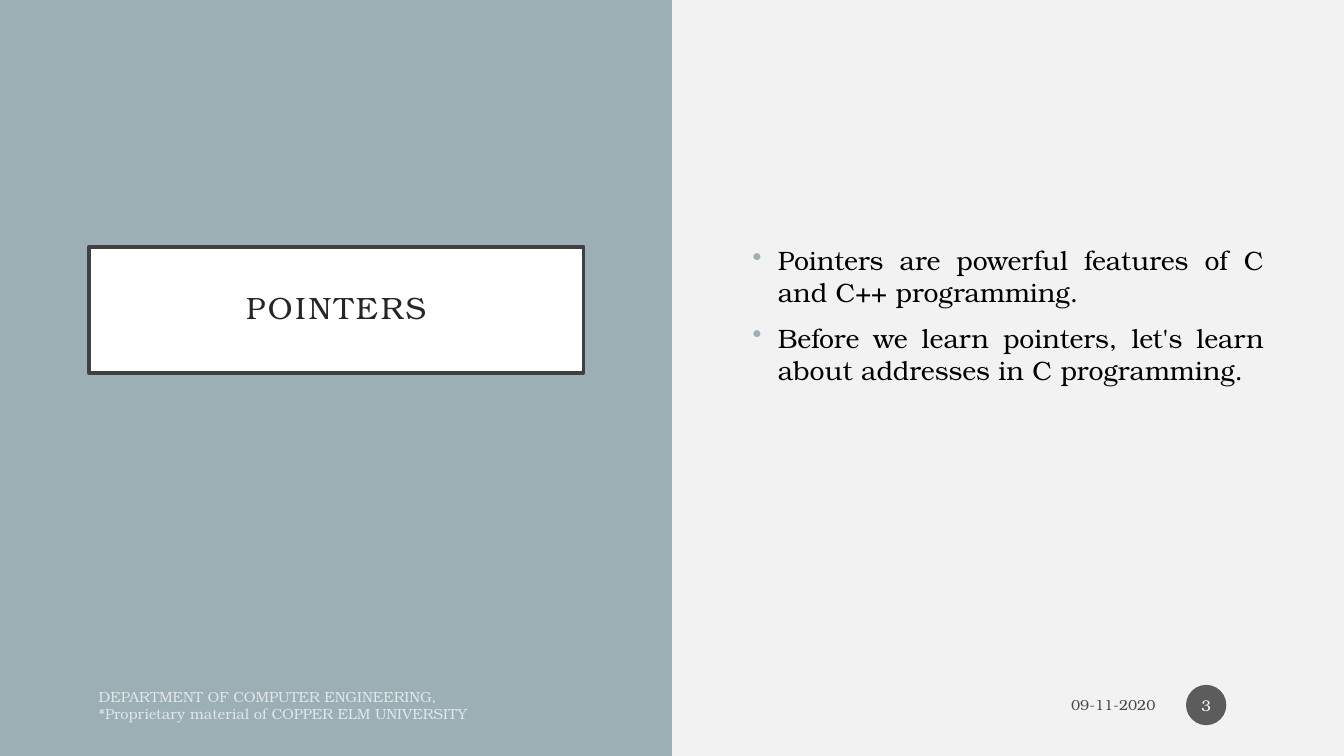
from lxml import etree
from pptx import Presentation
from pptx.dml.color import RGBColor
from pptx.enum import shapes, text
from pptx.oxml import ns
from pptx.util import Pt

FONT = "TeX Gyre Bonum"
SAGE = RGBColor(0x9B, 0xAF, 0xB5)
PALE = RGBColor(0xF2, 0xF2, 0xF2)
WHITE = RGBColor(0xFF, 0xFF, 0xFF)
BLACK = RGBColor(0, 0, 0)
FRAME = RGBColor(0x40, 0x40, 0x40)
INK = RGBColor(0x26, 0x26, 0x26)
BADGE = RGBColor(0x1D, 0x1D, 0x1D)

WIDTH, HEIGHT = 960, 540
LEFT, CENTER = text.PP_ALIGN.LEFT, text.PP_ALIGN.CENTER
RIGHT, JUSTIFY = text.PP_ALIGN.RIGHT, text.PP_ALIGN.JUSTIFY
MIDDLE, TOP = text.MSO_ANCHOR.MIDDLE, text.MSO_ANCHOR.TOP


def set_opacity(parent, percent):
    """Make the solid fill held by an XML element partly transparent."""
    color = parent.find(ns.qn("a:solidFill")).find(ns.qn("a:srgbClr"))
    etree.SubElement(color, ns.qn("a:alpha"), val=str(percent * 1000))


def add_panel(slide, kind, box, fill):
    panel = slide.shapes.add_shape(kind, *map(Pt, box))
    panel.shadow.inherit = False
    panel.fill.solid()
    panel.fill.fore_color.rgb = fill
    panel.line.fill.background()
    return panel


def write(shape, lines, size, color, align, anchor=MIDDLE, insets=(7.2, 3.6), opacity=100):
    frame = shape.text_frame
    frame.word_wrap = True
    frame.vertical_anchor = anchor
    frame.margin_left = frame.margin_right = Pt(insets[0])
    frame.margin_top = frame.margin_bottom = Pt(insets[1])
    frame.text = "\n".join(lines)
    for paragraph in frame.paragraphs:
        paragraph.alignment = align
        for run in paragraph.runs:
            run.font.name = FONT
            run.font.size = Pt(size)
            run.font.color.rgb = color
            if opacity < 100:
                set_opacity(run.font._element, opacity)
    return frame.paragraphs


def add_bullet(paragraph, indent):
    props = paragraph._p.get_or_add_pPr()
    props.set("marL", str(Pt(indent)))
    props.set("indent", str(-Pt(indent)))
    bullet_color = etree.SubElement(props, ns.qn("a:buClr"))
    etree.SubElement(bullet_color, ns.qn("a:srgbClr"), val=str(SAGE))
    etree.SubElement(props, ns.qn("a:buChar"), char="•")


def draw_title_half(slide, left, top, width, height):
    # Coloured half with the framed title
    rectangle = shapes.MSO_SHAPE.RECTANGLE
    add_panel(slide, rectangle, (left, top, width, height), SAGE)
    title = add_panel(slide, rectangle, (left + 63.4, top + 176.4, 353.5, 90), WHITE)
    title.line.color.rgb = FRAME
    title.line.width = Pt(2.5)
    heading = write(title, ["POINTERS"], 22, INK, CENTER, insets=(14.4, 14.4))[0]
    heading.line_spacing = 0.9
    heading.runs[0].font._element.set("spc", "200")


def draw_points(slide, left, top, width, height):
    # Bulleted statements
    points = slide.shapes.add_textbox(*map(Pt, (left, top, width, height)))
    statements = [
        "Pointers are powerful features of C and C++ programming.",
        "Before we learn pointers, let's learn about addresses in C programming.",
    ]
    for paragraph in write(points, statements, 19, BLACK, JUSTIFY, TOP):
        paragraph.space_before = Pt(10)
        add_bullet(paragraph, 18)


def draw_footer(slide, left, top, width, height):
    # Department note and date
    department = ["DEPARTMENT OF COMPUTER ENGINEERING,",
                  "*Proprietary material of COPPER ELM UNIVERSITY"]
    notes = [(left, 403.2, department, WHITE, LEFT),
             (left + 552.2, 216.7, ["09-11-2020"], BLACK, RIGHT)]
    for note_left, note_width, lines, color, align in notes:
        note = slide.shapes.add_textbox(Pt(note_left), Pt(top), Pt(note_width), Pt(height))
        write(note, lines, 10.5, color, align, opacity=70)

    # Round page number
    diameter = 28.8
    circle = (left + width - diameter, top + (height - diameter) / 2, diameter, diameter)
    number = add_panel(slide, shapes.MSO_SHAPE.OVAL, circle, BADGE)
    set_opacity(number._element.spPr, 70)
    write(number, ["3"], 11, WHITE, CENTER, insets=(1.44, 3.6))


def main():
    deck = Presentation()
    deck.slide_width, deck.slide_height = Pt(WIDTH), Pt(HEIGHT)
    slide = deck.slides.add_slide(deck.slide_layouts[6])
    slide.background.fill.solid()
    slide.background.fill.fore_color.rgb = PALE
    draw_title_half(slide, 0, 0, WIDTH / 2, HEIGHT)
    draw_points(slide, 530.6, 170.6, 379.4, 131)
    draw_footer(slide, 63.4, 491, 812.6, 25.2)
    deck.save("out.pptx")


if __name__ == "__main__":
    main()
